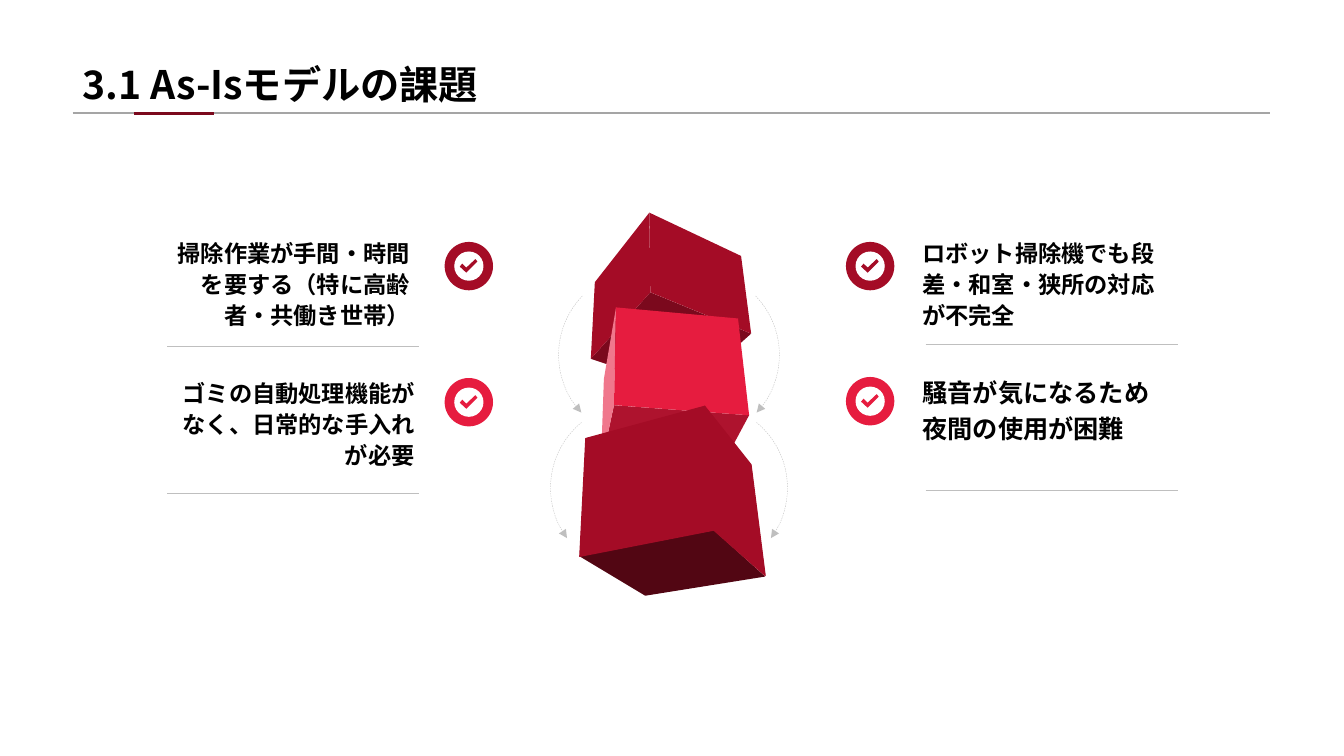
from dataclasses import dataclass

from lxml import etree
from pptx import Presentation
from pptx import util as u
from pptx.dml.color import RGBColor
from pptx.enum import dml, shapes, text
from pptx.oxml.ns import qn

COLORS = {
    "black": "000000", "white": "FFFFFF", "rule": "A5A5A5", "divider": "BFBFBF",
    "crimson": "A40C26", "red": "E61C3F", "pink": "F0778C",
    "shade": "AE132E", "dark": "7B091D", "darkest": "520613",
}
CELL = u.Inches(0.1)  # square grid: 133.33 columns by 75 rows
BADGE, DISC, ARC = 4.8, 2.9, 16.8  # diameters in cells
CHECK = [(1.2, 2.1), (0.55, 1.5), (0.8, 1.2), (1.2, 1.6), (2.1, 0.75), (2.3, 1.0)]


@dataclass(frozen=True)
class Issue:
    words: str
    column: float
    row: float
    columns: float
    rows: float
    badge_column: float
    badge_row: float
    rule_column: float
    rule_row: float
    color: str
    on_left: bool
    size: float = 16.6
    spacing: float = 1.1


@dataclass(frozen=True)
class Face:
    color: str
    corners: list[tuple[float, float]]
    outlined: bool = False


@dataclass(frozen=True)
class Arrow:
    column: float
    row: float
    turn: float
    mirrored: bool


ISSUES = [
    Issue("ロボット掃除機でも段差・和室・狭所の対応が不完全",
          90.5, 22.4, 26.9, 10.7, 83.9, 24, 91.8, 34.1, "crimson", False),
    Issue("騒音が気になるため夜間の使用が困難",
          90.5, 35.7, 26.9, 8.8, 83.9, 37.4, 91.8, 48.6, "red", False, 18, 1.2),
    Issue("掃除作業が手間・時間を要する（特に高齢者・共働き世帯）",
          15.7, 22.4, 25.9, 10.7, 44.1, 24, 16.6, 34.3, "crimson", True),
    Issue("ゴミの自動処理機能がなく、日常的な手入れが必要",
          15.7, 36.5, 26.4, 10.5, 44.1, 37.5, 16.6, 48.9, "red", True),
]
ARROWS = [
    Arrow(60.5, 26.8, 48.5, False), Arrow(61.3, 40, 41.9, False),
    Arrow(55.4, 26.8, 311.5, True), Arrow(54.6, 40, 318.1, True),
]
FACES = [
    # Top block
    Face("dark", [(58.6, 35.6), (64.5, 29), (74.5, 33.1), (73.5, 34), (60.1, 36.1)]),
    Face("crimson", [(58.6, 35.6), (59, 28), (64.4, 21.1), (64.5, 29)]),
    Face("crimson", [(64.5, 29), (64.4, 21.1), (73.5, 25.4), (74.5, 33.1)]),
    # Middle block
    Face("shade", [(60.3, 43), (60.9, 40.2), (74.3, 41.2), (72.8, 44)]),
    Face("pink", [(59.7, 43.2), (59.9, 37.6), (61.1, 30.5), (60.9, 40.2), (60.3, 43)]),
    Face("red", [(60.9, 40.2), (61.1, 30.5), (73.2, 31.6), (74.3, 41.2)]),
    # Bottom block
    Face("darkest", [(57.5, 55.2), (70.8, 52.6), (75.9, 57.2), (64, 59.1)]),
    Face("crimson", [(57.5, 55.2), (58.1, 43.5), (69.9, 40.3), (70.8, 52.6)], True),
    Face("crimson", [(70.8, 52.6), (69.9, 40.3), (74.5, 46.1), (75.9, 57.1)], True),
]


def cells(*counts: float) -> list[u.Emu]:
    return [u.Emu(round(count * CELL)) for count in counts]


def rgb(name: str) -> RGBColor:
    return RGBColor.from_string(COLORS[name])


def paint(shape, color: str, outlined: bool = False) -> None:
    shape.shadow.inherit = False
    shape.fill.solid()
    shape.fill.fore_color.rgb = rgb(color)
    if outlined:
        shape.line.color.rgb = rgb(color)
        shape.line.width = u.Pt(0.75)
    else:
        shape.line.fill.background()


def add_words(frame, words: str, font: str, size: float):
    paragraph = frame.paragraphs[0]
    run = paragraph.add_run()
    run.text = words
    run.font.name, run.font.size, run.font.bold = font, u.Pt(size), True
    run.font.color.rgb = rgb("black")
    etree.SubElement(run.font._element, qn("a:ea"), typeface=font)
    return paragraph


def add_rule(slide, column: float, row: float, columns: float,
             color: str, width: float) -> None:
    line = slide.shapes.add_connector(
        shapes.MSO_CONNECTOR.STRAIGHT, *cells(column, row, column + columns, row))
    line.line.color.rgb = rgb(color)
    line.line.width = u.Pt(width)
    etree.SubElement(line._element.spPr, qn("a:effectLst"))


def add_polygon(slide, corners: list[tuple[float, float]], color: str,
                outlined: bool = False) -> None:
    points = [cells(*corner) for corner in corners]
    builder = slide.shapes.build_freeform(*points[0])
    builder.add_line_segments(points[1:], close=True)
    paint(builder.convert_to_shape(), color, outlined)


def add_badge(slide, column: float, row: float, color: str) -> None:
    inset = (BADGE - DISC) / 2
    for offset, size, fill in ((0, BADGE, color), (inset, DISC, "white")):
        circle = slide.shapes.add_shape(
            shapes.MSO_SHAPE.OVAL, *cells(column + offset, row + offset, size, size))
        paint(circle, fill)
    add_polygon(slide, [(column + inset + x, row + inset + y) for x, y in CHECK], color)


def add_issue(slide, issue: Issue) -> None:
    box = slide.shapes.add_textbox(
        *cells(issue.column, issue.row, issue.columns, issue.rows))
    frame = box.text_frame
    frame.word_wrap = True
    frame.vertical_anchor = text.MSO_ANCHOR.BOTTOM
    paragraph = add_words(frame, issue.words, "Arial", issue.size)
    paragraph.line_spacing = issue.spacing
    paragraph.alignment = text.PP_ALIGN.RIGHT if issue.on_left else text.PP_ALIGN.LEFT
    add_badge(slide, issue.badge_column, issue.badge_row, issue.color)
    add_rule(slide, issue.rule_column, issue.rule_row, 25, "divider", 0.25)


def add_arrow(slide, arrow: Arrow) -> None:
    arc = slide.shapes.add_shape(
        shapes.MSO_SHAPE.ARC, *cells(arrow.column, arrow.row, ARC, ARC))
    arc.adjustments[0], arc.adjustments[1] = 160.48, 212.68
    arc.rotation = arrow.turn
    arc.shadow.inherit = False
    arc.fill.background()
    arc.line.color.rgb = rgb("divider")
    arc.line.width = u.Pt(0.25)
    arc.line.dash_style = dml.MSO_LINE.DASH
    properties = arc._element.spPr
    etree.SubElement(properties.find(qn("a:ln")), qn("a:tailEnd"), type="triangle")
    if arrow.mirrored:
        properties.find(qn("a:xfrm")).set("flipH", "1")


def add_title(slide, words: str) -> None:
    title = slide.shapes.title
    title.left, title.top, title.width, title.height = cells(7.2, 5.5, 54.8, 5.7)
    frame = title.text_frame
    frame.word_wrap = True
    frame.auto_size = text.MSO_AUTO_SIZE.SHAPE_TO_FIT_TEXT
    frame.vertical_anchor = text.MSO_ANCHOR.TOP
    add_words(frame, words, "Noto Sans CJK SC", 28).alignment = text.PP_ALIGN.LEFT


def main() -> None:
    presentation = Presentation()
    presentation.slide_width, presentation.slide_height = u.Inches(13.33), u.Inches(7.5)
    slide = presentation.slides.add_slide(presentation.slide_layouts[5])

    # Heading
    add_title(slide, "3.1 As-Isモデルの課題")
    add_rule(slide, 7.2, 11.2, 118.8, "rule", 1)
    add_rule(slide, 13.3, 11.25, 7.9, "dark", 2.5)

    # Issues on both sides
    for issue in ISSUES:
        add_issue(slide, issue)

    # Stack of blocks with its arrows
    for arrow in ARROWS:
        add_arrow(slide, arrow)
    for face in FACES:
        add_polygon(slide, face.corners, face.color, face.outlined)

    presentation.save("out.pptx")


if __name__ == "__main__":
    main()
